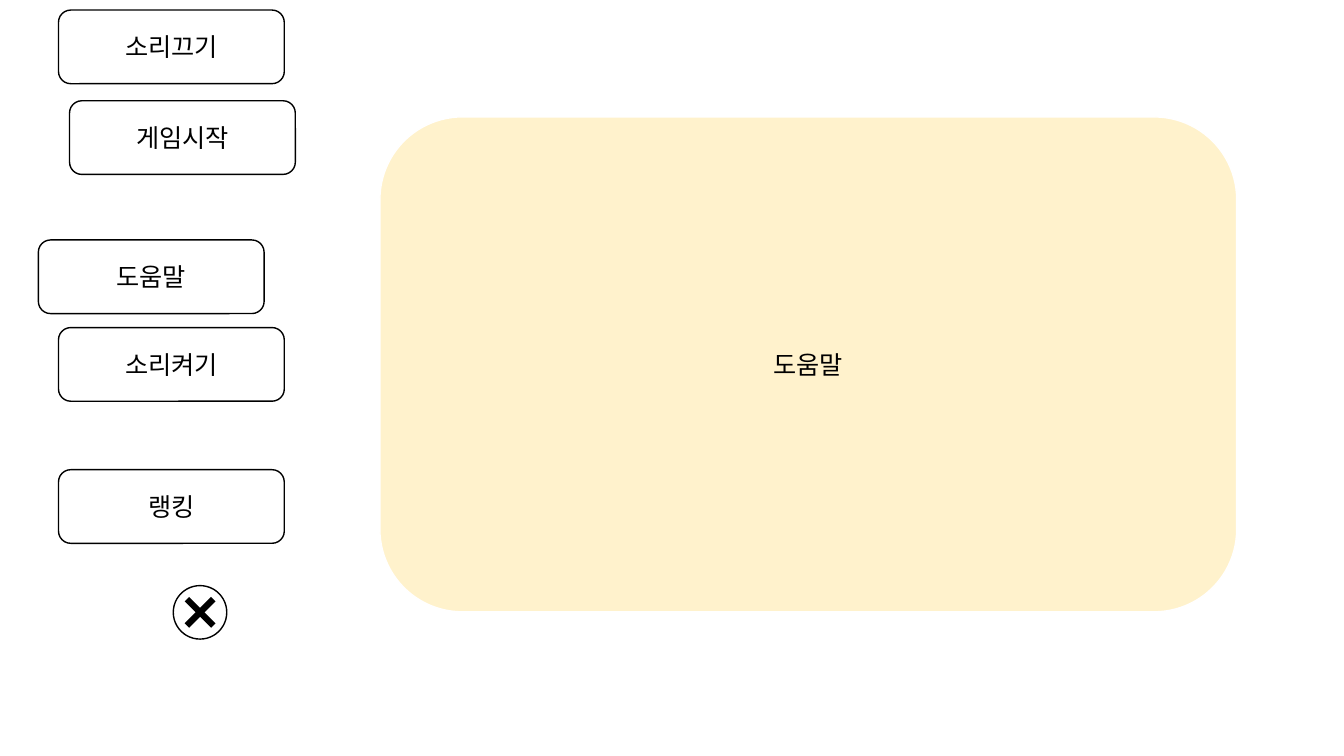
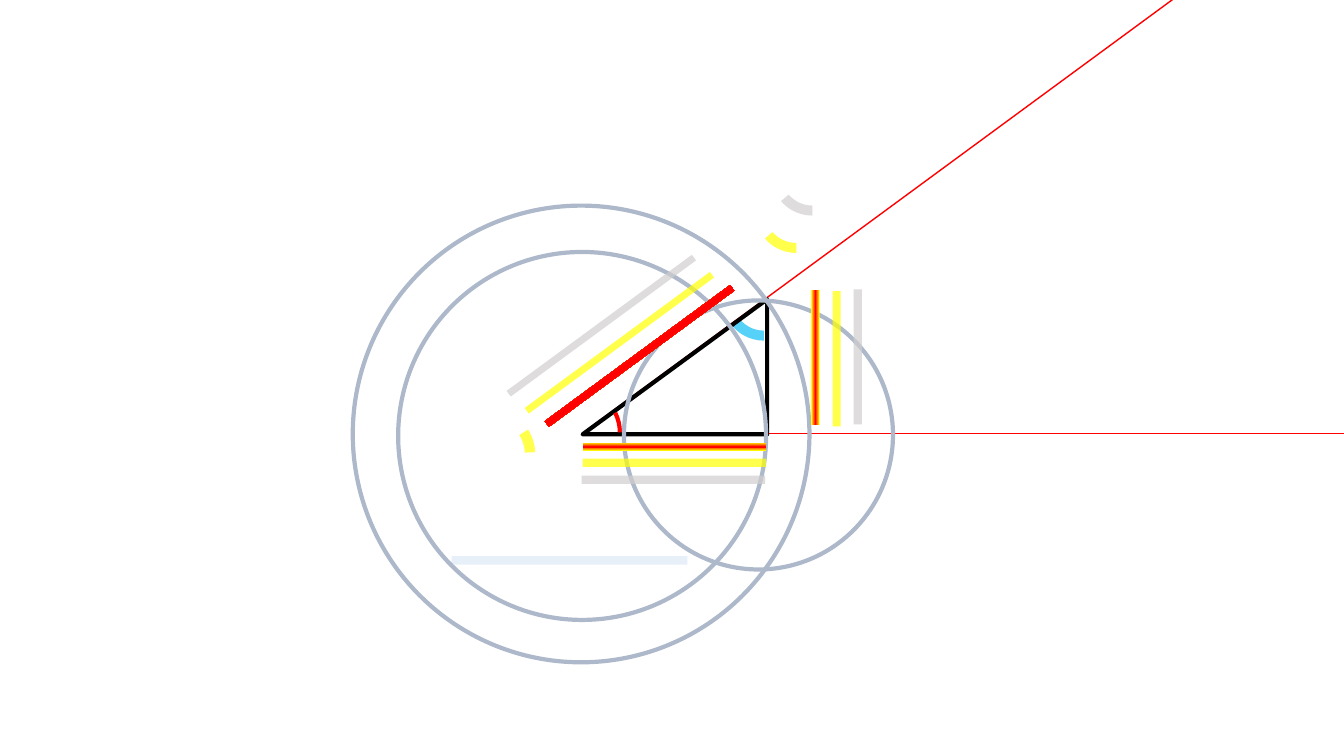
from dataclasses import dataclass

import pptx
import pptx.dml.color
import pptx.enum.shapes
import pptx.enum.text
import pptx.oxml
import pptx.oxml.ns
import pptx.util
from lxml import etree

Pt = pptx.util.Pt
SHAPE = pptx.enum.shapes.MSO_SHAPE
qn = pptx.oxml.ns.qn


@dataclass(frozen=True)
class Theme:
    font: str = "Noto Sans CJK KR"
    label_size: int = 18
    thin: float = 1
    thick: float = 3
    band: float = 6
    opacity: int = 70
    white: str = "FFFFFF"
    black: str = "000000"
    cream: str = "FFF2CC"
    red: str = "FF0000"
    yellow: str = "FFFF00"
    grey: str = "D0CECE"
    sky: str = "56D1F8"
    pale_blue: str = "DEEBF7"
    slate: str = "ADB9CA"


THEME = Theme()
GLOW = "glow"


def rgb(colour):
    return pptx.dml.color.RGBColor.from_string(colour)


def set_opacity(fill_parent, percent):
    colour = fill_parent.find(qn("a:solidFill"))[0]
    etree.SubElement(colour, qn("a:alpha")).set("val", str(percent * 1000))


def fill_with_glow(shape):
    """Fill with red that fades to yellow at both sides."""
    shape.fill.gradient()
    shape.fill.gradient_angle = 0
    stops = shape._element.spPr.find(qn("a:gradFill")).find(qn("a:gsLst"))
    for stop in list(stops):
        stops.remove(stop)
    for position, colour in ((0, THEME.yellow), (50, THEME.red), (100, THEME.yellow)):
        stop = etree.SubElement(stops, qn("a:gs"))
        stop.set("pos", str(position * 1000))
        etree.SubElement(stop, qn("a:srgbClr")).set("val", colour)


def add_figure(shapes, preset, box, fill=None, line=None, weight=THEME.thin,
               opacity=100, rotation=0, adjust=()):
    figure = shapes.add_shape(preset, *(Pt(length) for length in box))
    figure.shadow.inherit = False
    figure.rotation = rotation
    for index, value in enumerate(adjust):
        figure.adjustments[index] = value
    if fill == GLOW:
        fill_with_glow(figure)
    elif fill:
        figure.fill.solid()
        figure.fill.fore_color.rgb = rgb(fill)
        if opacity < 100:
            set_opacity(figure._element.spPr, opacity)
    else:
        figure.fill.background()
    if line:
        figure.line.color.rgb = rgb(line)
        figure.line.width = Pt(weight)
    else:
        figure.line.fill.background()
    return figure


def add_line(slide, start, end, colour, weight, opacity=100):
    line = slide.shapes.add_connector(
        pptx.enum.shapes.MSO_CONNECTOR.STRAIGHT,
        *(Pt(length) for length in (*start, *end)))
    line.line.color.rgb = rgb(colour)
    line.line.width = Pt(weight)
    properties = line._element.spPr
    if opacity < 100:
        set_opacity(properties.find(qn("a:ln")), opacity)
    etree.SubElement(properties, qn("a:effectLst"))


def add_labelled_panel(slide, box, label, fill, line):
    panel = add_figure(slide.shapes, SHAPE.ROUNDED_RECTANGLE, box, fill, line)
    panel.text_frame.vertical_anchor = pptx.enum.text.MSO_ANCHOR.MIDDLE
    paragraph = panel.text_frame.paragraphs[0]
    paragraph.text = label
    paragraph.alignment = pptx.enum.text.PP_ALIGN.CENTER
    paragraph.font.size = Pt(THEME.label_size)
    paragraph.font.name = THEME.font
    paragraph.font.color.rgb = rgb(THEME.black)
    defaults = paragraph._p.pPr.find(qn("a:defRPr"))
    etree.SubElement(defaults, qn("a:ea")).set("typeface", THEME.font)


def add_menu(slide, left, top):
    width, height = 161.3, 52.6
    buttons = (("게임시작", 22.3, 64.8), ("랭킹", 14.4, 328.3), ("도움말", 0, 164.2),
               ("소리끄기", 14.4, 0), ("소리켜기", 14.4, 226.8))
    for label, dx, dy in buttons:
        add_labelled_panel(slide, (left + dx, top + dy, width, height), label,
                           THEME.white, THEME.black)


def add_close_button(slide, left, top, size):
    group = slide.shapes.add_group_shape().shapes
    add_figure(group, SHAPE.OVAL, (left, top, size, size), THEME.white, THEME.black)
    thickness, length = 4.5, size * 0.7
    bar = (left + (size - thickness) / 2, top + (size - length) / 2, thickness, length)
    for rotation in (45, 135):
        add_figure(group, SHAPE.RECTANGLE, bar, THEME.black, rotation=rotation)


def build_menu_slide(slide):
    add_menu(slide, 27.4, 7.2)
    add_labelled_panel(slide, (271.4, 83.5, 612, 353.5), "도움말",
                       THEME.cream, THEME.white)
    add_close_button(slide, 123.8, 418.3, 38.2)


def add_stripes(slide, origin, centres, thickness, length, rotation):
    """Draw a side's glowing, yellow and grey stripes at the given centres."""
    styles = ((GLOW, 100), (THEME.yellow, THEME.opacity), (THEME.grey, THEME.opacity))
    for (dx, dy), (fill, opacity) in zip(centres, styles):
        box = (origin[0] + dx - thickness / 2, origin[1] + dy - length / 2,
               thickness, length)
        add_figure(slide.shapes, SHAPE.RECTANGLE, box, fill,
                   opacity=opacity, rotation=rotation)


def add_angle_mark(slide, left, top, size, fill, adjust, opacity=THEME.opacity):
    add_figure(slide.shapes, SHAPE.BLOCK_ARC, (left, top, size, size), fill,
               opacity=opacity, adjust=adjust)


def add_triangle_diagram(slide, left, top, width, height):
    """Draw the triangle in its box, with rays, circles and stripes around it."""
    hub_x, hub_y = hub = (left, top + height)
    apex_x, apex_y = left + width, top
    apex_mark = (54, 83.624, 0.121)
    apex_mark_size = 59

    add_line(slide, (hub_x + 3.6, hub_y - 3.6), (hub_x + 530.6, hub_y - 390.9),
             THEME.red, THEME.thin)
    add_angle_mark(slide, apex_x - 31.8, apex_y - 29.5, apex_mark_size,
                   THEME.sky, apex_mark, opacity=100)
    triangle = add_figure(slide.shapes, SHAPE.RIGHT_TRIANGLE, (left, top, width, height),
                          line=THEME.black, weight=THEME.thick)
    triangle._element.spPr.find(qn("a:xfrm")).set("flipH", "1")
    add_figure(slide.shapes, SHAPE.ARC, (hub_x - 35.3, hub_y - 32.4, 61.9, 61.9),
               line=THEME.red, weight=THEME.thick, adjust=(199.896, 0))
    add_line(slide, (hub_x + 74.8, hub_y + 90), (hub_x - 93.6, hub_y + 90),
             THEME.pale_blue, THEME.band, THEME.opacity)
    add_line(slide, (apex_x + 1.4, hub_y - 0.7), (apex_x + 568, hub_y - 0.7),
             THEME.red, THEME.thin)

    for dx, dy, radius in ((-1.1, -0.3, 163.1), (-0.4, 1.1, 131.4), (125.6, 0.4, 96.1)):
        add_figure(slide.shapes, SHAPE.OVAL,
                   (hub_x + dx - radius, hub_y + dy - radius, 2 * radius, 2 * radius),
                   line=THEME.slate, weight=THEME.thick)

    add_stripes(slide, hub, ((40.6, -56.1), (26.2, -65.5), (13.3, -77.7)),
                5, 164.2, 233.7)
    add_stripes(slide, hub, ((65.5, 8.7), (65.5, 20.2), (64.8, 32.4)),
                5.8, 131, 270)
    add_stripes(slide, hub, ((166.3, -54.7), (181.4, -54), (196.5, -55.4)),
                5.8, height, 0)

    add_angle_mark(slide, apex_x - 8.7, apex_y - 92.1, apex_mark_size,
                   THEME.yellow, apex_mark)
    add_angle_mark(slide, apex_x + 2.8, apex_y - 118.8, apex_mark_size,
                   THEME.grey, apex_mark)
    add_angle_mark(slide, hub_x - 99.4, hub_y - 18.7, 65.5,
                   THEME.yellow, (196.555, 214.561, 0.113))


def build_triangle_slide(slide):
    add_triangle_diagram(slide, 416.2, 213.8, 131.8, 96.5)


def main():
    deck = pptx.Presentation()
    deck.slide_width, deck.slide_height = Pt(960), Pt(540)
    blank = deck.slide_layouts[6]
    for build in (build_menu_slide, build_triangle_slide):
        build(deck.slides.add_slide(blank))
    deck.save("out.pptx")


if __name__ == "__main__":
    main()
